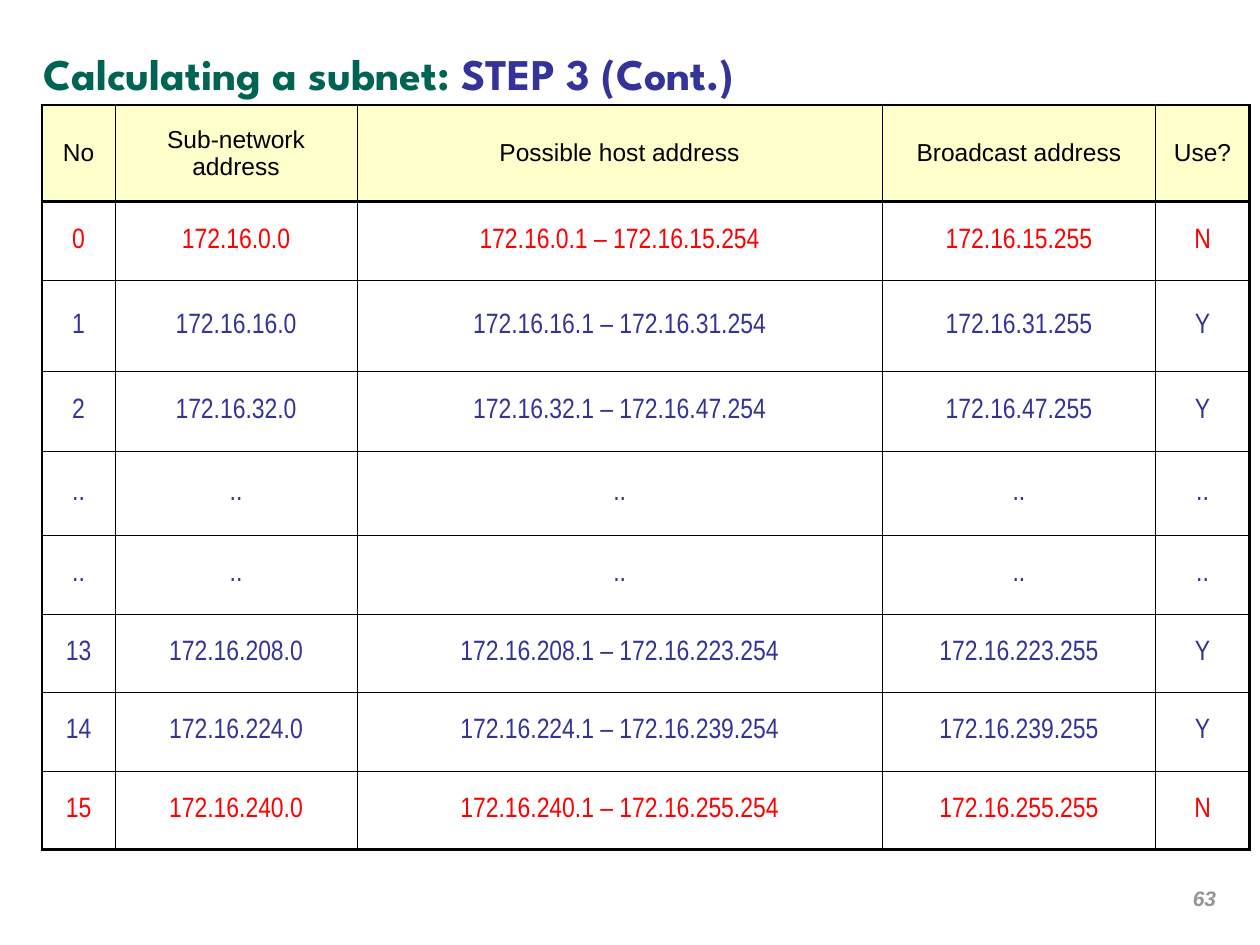
"""Build the slide that lists the subnets found in step 3."""
from pptx import Presentation, util as u
from pptx.dml.color import RGBColor
from pptx.enum import text
from pptx.oxml import parse_xml
from pptx.oxml.ns import nsdecls

Pt = u.Pt
GREEN = RGBColor(0x00, 0x64, 0x54)
BLUE = RGBColor(0x33, 0x33, 0x99)
RED = RGBColor(0xFF, 0x00, 0x00)
BLACK = RGBColor(0x00, 0x00, 0x00)
GREY = RGBColor(0x95, 0x95, 0x95)
CREAM = RGBColor(0xFF, 0xFF, 0xCC)

TITLE = [("Calculating a subnet:", GREEN), (" STEP 3 (Cont.)", BLUE)]
PAGE = "63"
HEADER = ("No", "Sub-network address", "Possible host address", "Broadcast address", "Use?")
GAP = ("..",) * len(HEADER)
SUBNETS = [
    ("0", "172.16.0.0", "172.16.0.1 – 172.16.15.254", "172.16.15.255", "N"),
    ("1", "172.16.16.0", "172.16.16.1 – 172.16.31.254", "172.16.31.255", "Y"),
    ("2", "172.16.32.0", "172.16.32.1 – 172.16.47.254", "172.16.47.255", "Y"),
    GAP,
    GAP,
    ("13", "172.16.208.0", "172.16.208.1 – 172.16.223.254", "172.16.223.255", "Y"),
    ("14", "172.16.224.0", "172.16.224.1 – 172.16.239.254", "172.16.239.255", "Y"),
    ("15", "172.16.240.0", "172.16.240.1 – 172.16.255.254", "172.16.255.255", "N"),
]
COLUMNS = [41.8, 138.2, 300.2, 156.2, 53.6]
ROWS = [55.2, 45.2, 52, 45.8, 47.8] + [44.9] * 4
THICK, THIN = Pt(1.47), Pt(0.45)

TITLE_FONT = {"name": "League Spartan", "size": Pt(25), "bold": True}
HEADER_FONT = {"name": "Arial", "size": Pt(14), "bold": False}
BODY_FONT = {"name": "Arial Narrow", "size": Pt(16), "bold": False}
PAGE_FONT = {"name": "Arial", "size": Pt(12), "bold": True, "italic": True}


def add_run(p, words, font, color):
    r = p.add_run()
    r.text = words
    for key, value in font.items():
        setattr(r.font, key, value)
    r.font.color.rgb = color


def add_text(s, box, runs, font, align, anchor):
    tf = s.shapes.add_textbox(*map(Pt, box)).text_frame
    tf.word_wrap = True
    tf.vertical_anchor = anchor
    p = tf.paragraphs[0]
    p.alignment = align
    for words, color in runs:
        add_run(p, words, font, color)


def set_borders(cell, widths):
    tc_pr = cell._tc.get_or_add_tcPr()
    for i, (side, width) in enumerate(widths.items()):
        tc_pr.insert(i, parse_xml(
            f'<a:ln{side} {nsdecls("a")} w="{width}"><a:solidFill>'
            f'<a:srgbClr val="{BLACK}"/></a:solidFill></a:ln{side}>'))


def add_subnet_table(s):
    rows = [HEADER] + SUBNETS
    last_row, last_col = len(rows) - 1, len(HEADER) - 1
    table = s.shapes.add_table(len(rows), len(HEADER), Pt(24), Pt(60),
                               Pt(sum(COLUMNS)), Pt(sum(ROWS))).table
    table.first_row = table.horz_banding = False
    for column, width in zip(table.columns, COLUMNS):
        column.width = Pt(width)
    for i, row in enumerate(rows):
        table.rows[i].height = Pt(ROWS[i])
        font = BODY_FONT if i else HEADER_FONT
        color = BLACK if i == 0 else RED if row[-1] == "N" else BLUE
        for j, words in enumerate(row):
            cell = table.cell(i, j)
            cell.vertical_anchor = text.MSO_ANCHOR.MIDDLE
            if i:
                cell.fill.background()
            else:
                cell.fill.solid()
                cell.fill.fore_color.rgb = CREAM
            p = cell.text_frame.paragraphs[0]
            p.alignment = text.PP_ALIGN.CENTER
            p.space_before = font["size"] // 4
            add_run(p, words, font, color)
            set_borders(cell, {
                "L": THICK if j == 0 else THIN,
                "R": THICK if j == last_col else THIN,
                "T": THICK if i < 2 else THIN,
                "B": THICK if i in (0, last_row) else THIN,
            })


def main():
    prs = Presentation()
    prs.slide_width, prs.slide_height = Pt(720), Pt(540)
    s = prs.slides.add_slide(prs.slide_layouts[6])
    add_text(s, (18, 0, 684, 60), TITLE, TITLE_FONT,
             text.PP_ALIGN.LEFT, text.MSO_ANCHOR.BOTTOM)
    add_subnet_table(s)
    add_text(s, (534, 502.5, 168, 37.5), [(PAGE, GREY)], PAGE_FONT,
             text.PP_ALIGN.RIGHT, text.MSO_ANCHOR.TOP)
    prs.save("out.pptx")


if __name__ == "__main__":
    main()
